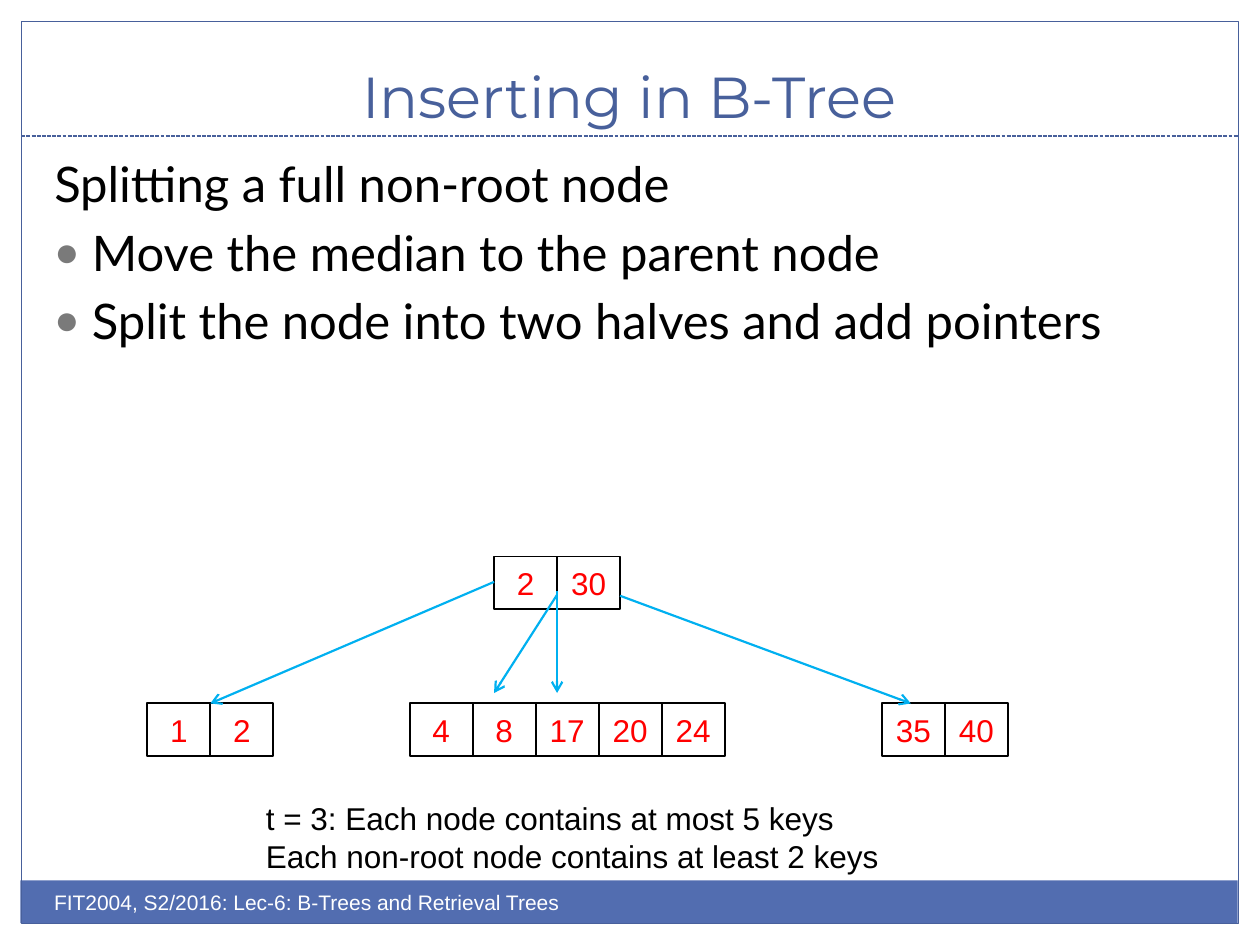
"""Build a slide on splitting a full non-root node of a B-tree."""
from lxml.etree import SubElement as Sub
from pptx import Presentation
from pptx.dml.color import RGBColor as RGB
from pptx.enum.dml import MSO_LINE as Dash
from pptx.enum.shapes import MSO_CONNECTOR as Conn, MSO_SHAPE as Kind
from pptx.enum.text import MSO_ANCHOR as Anchor, MSO_AUTO_SIZE as Auto, PP_ALIGN as Align
from pptx.oxml.ns import qn
from pptx.util import Cm, Pt

TITLE = "Inserting in B-Tree"
LEAD = "Splitting a full non-root node"
STEPS = ["Move the median to the parent node",
         "Split the node into two halves and add pointers"]
NOTE = ["t = 3: Each node contains at most 5 keys",
        "Each non-root node contains at least 2 keys"]
FOOTER = "FIT2004, S2/2016: Lec-6: B-Trees and Retrieval Trees"

ROOT_Y, LEAF_Y = 11.22, 14.18
CELL_W, CELL_H = 1.27, 1.06
NODES = [(9.96, ROOT_Y, [2, 30]),
         (2.97, LEAF_Y, [1, 2]),
         (8.26, LEAF_Y, [4, 8, 17, 20, 24]),
         (17.78, LEAF_Y, [35, 40])]
ARROWS = [(12.5, 12.01, 18.36, LEAF_Y),
          (11.23, 11.91, 11.23, 13.97),
          (9.96, 11.73, 4.24, LEAF_Y),
          (11.23, 11.99, 9.96, 13.97)]

BLUE, BAR = RGB(0x48, 0x60, 0x9B), RGB(0x52, 0x6D, 0xB0)
CYAN, RED = RGB(0x00, 0xB0, 0xF0), RGB(0xFF, 0, 0)
BLACK, WHITE = RGB(0, 0, 0), RGB(0xFF, 0xFF, 0xFF)
GRAY = RGB(0x7A, 0x7A, 0x7A)


def style(para, size, face, color, align=Align.LEFT):
    para.alignment = align
    font = para.font
    font.size, font.name, font.color.rgb = Pt(size), face, color


def place(shape, *box):
    shape.left, shape.top, shape.width, shape.height = map(Cm, box)


def add_rect(slide, box, fill=None, line=None, width=1):
    rect = slide.shapes.add_shape(Kind.RECTANGLE, *map(Cm, box))
    rect.shadow.inherit = False
    if fill is None:
        rect.fill.background()
    else:
        rect.fill.solid()
        rect.fill.fore_color.rgb = fill
    if line is None:
        rect.line.fill.background()
    else:
        rect.line.color.rgb, rect.line.width = line, Pt(width)
    return rect


def add_line(slide, ends, color, width):
    line = slide.shapes.add_connector(Conn.STRAIGHT, *map(Cm, ends))
    line.line.color.rgb, line.line.width = color, Pt(width)
    Sub(line._element.spPr, qn("a:effectLst"))
    return line


def add_text(slide, box, lines, size, color):
    frame = slide.shapes.add_textbox(*map(Cm, box)).text_frame
    frame.word_wrap = True
    frame.text = "\n".join(lines)
    for para in frame.paragraphs:
        style(para, size, "Arial", color)


def set_bullet(para, shown):
    props = para._p.get_or_add_pPr()
    indent = Cm(0.76) if shown else 0
    props.set("marL", str(indent))
    props.set("indent", str(-indent))
    if shown:
        Sub(Sub(props, qn("a:buClr")), qn("a:srgbClr"), val=str(GRAY))
        Sub(props, qn("a:buSzPct"), val="85000")
        Sub(props, qn("a:buFont"), typeface="Arial")
        Sub(props, qn("a:buChar"), char="●")
    else:
        Sub(props, qn("a:buNone"))


def add_frame(slide):
    add_rect(slide, (0.41, 17.75, 24.54, 0.86), fill=BAR)
    add_rect(slide, (0.43, 0.43, 24.54, 18.19), line=BLUE, width=0.75)
    rule = add_line(slide, (0.43, 2.74, 24.97, 2.74), BLUE, 0.75)
    rule.line.dash_style = Dash.SQUARE_DOT
    add_text(slide, (0.84, 17.81, 12.7, 1.02), [FOOTER], 12, WHITE)


def fill_heads(slide):
    title, body = slide.placeholders
    place(title, 0.84, 0.64, 23.7, 2.11)
    frame = title.text_frame
    frame.text, frame.auto_size = TITLE, Auto.NONE
    frame.vertical_anchor = Anchor.BOTTOM
    style(frame.paragraphs[0], 33, "Montserrat", BLUE, Align.CENTER)
    place(body, 0.84, 2.97, 24.56, 5.72)
    frame = body.text_frame
    frame.text, frame.auto_size = "\n".join([LEAD] + STEPS), Auto.NONE
    for i, para in enumerate(frame.paragraphs):
        set_bullet(para, i > 0)
        style(para, 28, "Lato", BLACK)


def add_tree(slide):
    for left, top, keys in NODES:
        for i, key in enumerate(keys):
            box = (left + i * CELL_W, top, CELL_W, CELL_H)
            frame = add_rect(slide, box, line=BLACK).text_frame
            frame.margin_left = frame.margin_right = 0
            frame.vertical_anchor = Anchor.MIDDLE
            frame.text = str(key)
            style(frame.paragraphs[0], 18, "Arial", RED, Align.CENTER)
    for ends in ARROWS:
        arrow = add_line(slide, ends, CYAN, 1.25)
        Sub(arrow.line._get_or_add_ln(), qn("a:tailEnd"), type="arrow")
    add_text(slide, (5.11, 15.98, 12.98, 1.8), NOTE, 18, BLACK)


def main():
    deck = Presentation()
    deck.slide_width, deck.slide_height = Cm(25.4), Cm(19.05)
    slide = deck.slides.add_slide(deck.slide_layouts[1])
    add_frame(slide)
    fill_heads(slide)
    add_tree(slide)
    deck.save("out.pptx")


if __name__ == "__main__":
    main()
